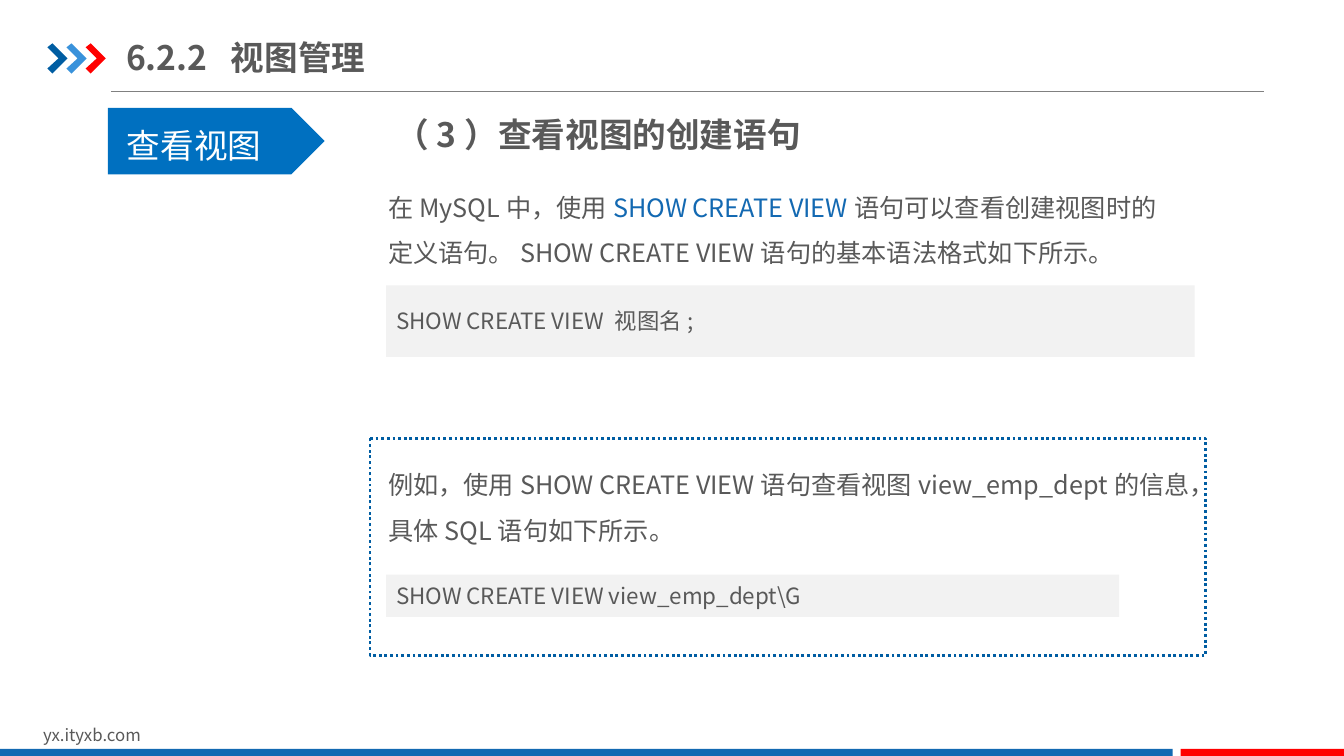
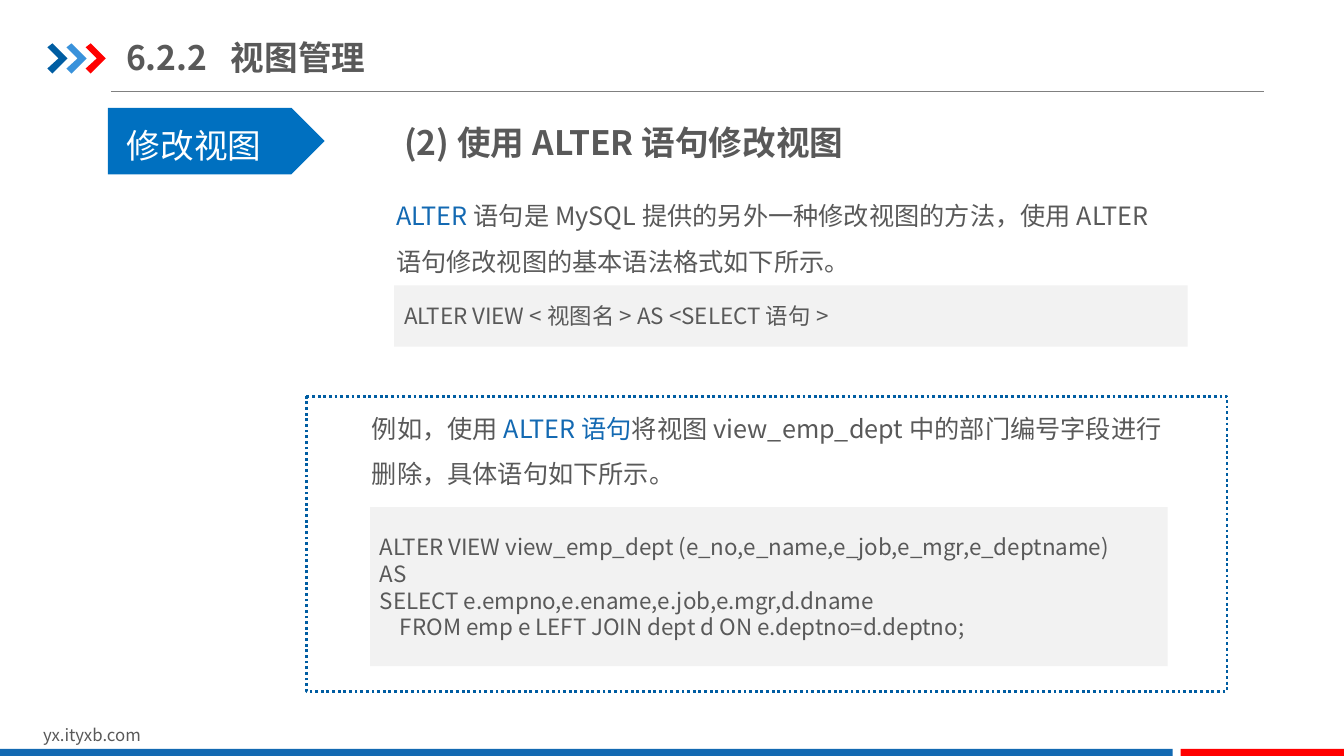
from dataclasses import dataclass
from typing import NamedTuple, Optional

from lxml.etree import SubElement
from pptx import Presentation
from pptx.dml.color import RGBColor
from pptx.enum.dml import MSO_LINE
from pptx.enum.shapes import MSO_CONNECTOR, MSO_SHAPE as Kind
from pptx.enum.text import MSO_ANCHOR as Anchor, MSO_AUTO_SIZE as AutoSize, PP_ALIGN as Align
from pptx.oxml.ns import qn
from pptx.slide import Slide
from pptx.util import Inches, Pt

FONT = "Noto Sans CJK SC"
COLORS = {
    "text": "595959", "accent": "1369B2", "tag": "0070C0", "navy": "005DA2",
    "sky": "3992DB", "red": "FF0000", "rule": "808080", "code": "F2F2F2",
    "white": "FFFFFF",
}
TITLE = "6.2.2\t视图管理"
TITLE_TAB = 1.04
CHEVRON = [(0, 0.04), (0.05, 0), (0.2, 0.15), (0.05, 0.3), (0, 0.25), (0.11, 0.15)]


class Box(NamedTuple):
    left: float
    top: float
    width: float
    height: float

    def emu(self) -> list:
        return [Inches(v) for v in self]


@dataclass
class Block:
    """A piece of text, with the part to be set in the accent colour."""
    box: Box
    text: str
    accent: str = ""


@dataclass
class Page:
    tag: str
    heading: Block
    intro: Block
    syntax: Block
    frame: Box
    example: Block
    code: Block


PAGES = [
    Page(
        tag="查看视图",
        heading=Block(Box(3.82, 1.08, 4.48, 0.5), "（3）查看视图的创建语句"),
        intro=Block(
            Box(3.75, 1.71, 7.85, 1.01),
            "在MySQL中，使用SHOW CREATE VIEW语句可以查看创建视图时的定义语句。"
            "SHOW CREATE VIEW语句的基本语法格式如下所示。",
            accent="SHOW CREATE VIEW"),
        syntax=Block(Box(3.83, 2.83, 8.02, 0.71), "SHOW CREATE VIEW 视图名;"),
        frame=Box(3.67, 4.35, 8.29, 2.15),
        example=Block(
            Box(3.75, 4.46, 8.21, 1.01),
            "例如，使用SHOW CREATE VIEW语句查看视图view_emp_dept的信息，"
            "具体SQL语句如下所示。"),
        code=Block(Box(3.83, 5.7, 7.27, 0.42), "SHOW CREATE VIEW view_emp_dept\\G"),
    ),
    Page(
        tag="修改视图",
        heading=Block(Box(3.91, 1.16, 7.5, 0.5), "(2)使用ALTER语句修改视图"),
        intro=Block(
            Box(3.83, 1.79, 7.7, 1.01),
            "ALTER语句是MySQL提供的另外一种修改视图的方法，"
            "使用ALTER语句修改视图的基本语法格式如下所示。",
            accent="ALTER"),
        syntax=Block(Box(3.91, 2.83, 7.87, 0.61), "ALTER VIEW <视图名> AS <SELECT语句>"),
        frame=Box(3.04, 3.93, 9.13, 2.93),
        example=Block(
            Box(3.59, 3.9, 8.21, 1.01),
            "例如，使用ALTER语句将视图view_emp_dept中的部门编号字段进行删除，"
            "具体语句如下所示。",
            accent="ALTER语句"),
        code=Block(
            Box(3.67, 5.03, 7.91, 1.58),
            "ALTER VIEW view_emp_dept (e_no,e_name,e_job,e_mgr,e_deptname)\n"
            "AS\n"
            "SELECT e.empno,e.ename,e.job,e.mgr,d.dname\n"
            "    FROM emp e LEFT JOIN dept d ON e.deptno=d.deptno;"),
    ),
]


def rgb(name: str) -> RGBColor:
    return RGBColor.from_string(COLORS[name])


# Text
def write(tf, text: str, *, size: int, color: str = "text", bold: bool = False,
          spacing: Optional[float] = None, accent: str = "",
          anchor: Anchor = Anchor.TOP) -> None:
    tf.word_wrap = True
    tf.auto_size = AutoSize.NONE
    tf.vertical_anchor = anchor
    for i, line in enumerate(text.split("\n")):
        p = tf.add_paragraph() if i else tf.paragraphs[0]
        p.alignment = Align.LEFT
        if spacing:
            p.line_spacing = spacing
        parts = line.partition(accent) if accent else (line,)
        for part in filter(None, parts):
            r = p.add_run()
            r.text = part
            r.font.size = Pt(size)
            r.font.bold = bold
            r.font.color.rgb = rgb("accent" if part == accent else color)
            r.font.name = FONT
            SubElement(r.font._element, qn("a:ea"), typeface=FONT)


def add_text(s: Slide, block: Block, **style) -> None:
    sp = s.shapes.add_textbox(*block.box.emu())
    write(sp.text_frame, block.text, accent=block.accent, **style)


# Shapes
def paint(sp, fill: str) -> None:
    sp.shadow.inherit = False
    sp.fill.solid()
    sp.fill.fore_color.rgb = rgb(fill)
    sp.line.fill.background()


def add_shape(s: Slide, kind: Kind, box: Box, fill: str):
    sp = s.shapes.add_shape(kind, *box.emu())
    paint(sp, fill)
    return sp


def add_code(s: Slide, block: Block) -> None:
    sp = add_shape(s, Kind.RECTANGLE, block.box, "code")
    write(sp.text_frame, block.text, size=16, anchor=Anchor.MIDDLE)


def add_frame(s: Slide, box: Box) -> None:
    sp = add_shape(s, Kind.FLOWCHART_PROCESS, box, "white")
    sp.line.color.rgb = rgb("navy")
    sp.line.width = Pt(2)
    sp.line.dash_style = MSO_LINE.ROUND_DOT


def add_chevron(s: Slide, left: float, top: float, fill: str) -> None:
    start, *rest = [(Inches(left + x), Inches(top + y)) for x, y in CHEVRON]
    builder = s.shapes.build_freeform(*start)
    builder.add_line_segments(rest, close=True)
    paint(builder.convert_to_shape(), fill)


# Parts shared by all slides
def add_title(s: Slide) -> None:
    sp = s.shapes.title
    sp.left, sp.top, sp.width, sp.height = Box(1.25, 0.29, 4.64, 0.55).emu()
    tf = sp.text_frame
    tf.margin_left = tf.margin_right = 0
    tf.margin_top = tf.margin_bottom = Inches(0.07)
    tabs = SubElement(tf.paragraphs[0]._p.get_or_add_pPr(), qn("a:tabLst"))
    SubElement(tabs, qn("a:tab"), pos=str(Inches(TITLE_TAB)), algn="l")
    write(tf, TITLE, size=24, bold=True, anchor=Anchor.MIDDLE)


def add_base(s: Slide) -> None:
    rule = s.shapes.add_connector(
        MSO_CONNECTOR.STRAIGHT, Inches(1.1), Inches(0.91), Inches(12.54), Inches(0.91))
    rule.line.color.rgb = rgb("rule")
    rule.line.width = Pt(0.75)
    SubElement(rule._element.spPr, qn("a:effectLst"))
    for i, fill in enumerate(("navy", "sky", "red")):
        add_chevron(s, 0.47 + 0.19 * i, 0.43, fill)
    add_text(s, Block(Box(0.33, 7.14, 3.18, 0.3), "yx.ityxb.com"), size=12)
    add_shape(s, Kind.RECTANGLE, Box(0, 7.43, 11.63, 0.09), "accent")
    add_shape(s, Kind.RECTANGLE, Box(11.71, 7.43, 1.63, 0.09), "red")
    add_title(s)


def add_page(prs, page: Page) -> None:
    s = prs.slides.add_slide(prs.slide_layouts.get_by_name("Title Only"))
    add_base(s)
    # Topic tag
    add_shape(s, Kind.PENTAGON, Box(1.07, 1.07, 2.15, 0.66), "tag")
    add_text(s, Block(Box(1.16, 0.99, 1.99, 0.71), page.tag),
             size=24, color="white", spacing=1.5)
    # Explanation and syntax
    add_text(s, page.intro, size=18, spacing=1.5)
    add_text(s, page.heading, size=24, bold=True)
    add_code(s, page.syntax)
    # Framed example
    add_frame(s, page.frame)
    add_text(s, page.example, size=18, spacing=1.5)
    add_code(s, page.code)


def main() -> None:
    prs = Presentation()
    prs.slide_width, prs.slide_height = Inches(13.33), Inches(7.5)
    for page in PAGES:
        add_page(prs, page)
    prs.save("out.pptx")


if __name__ == "__main__":
    main()
